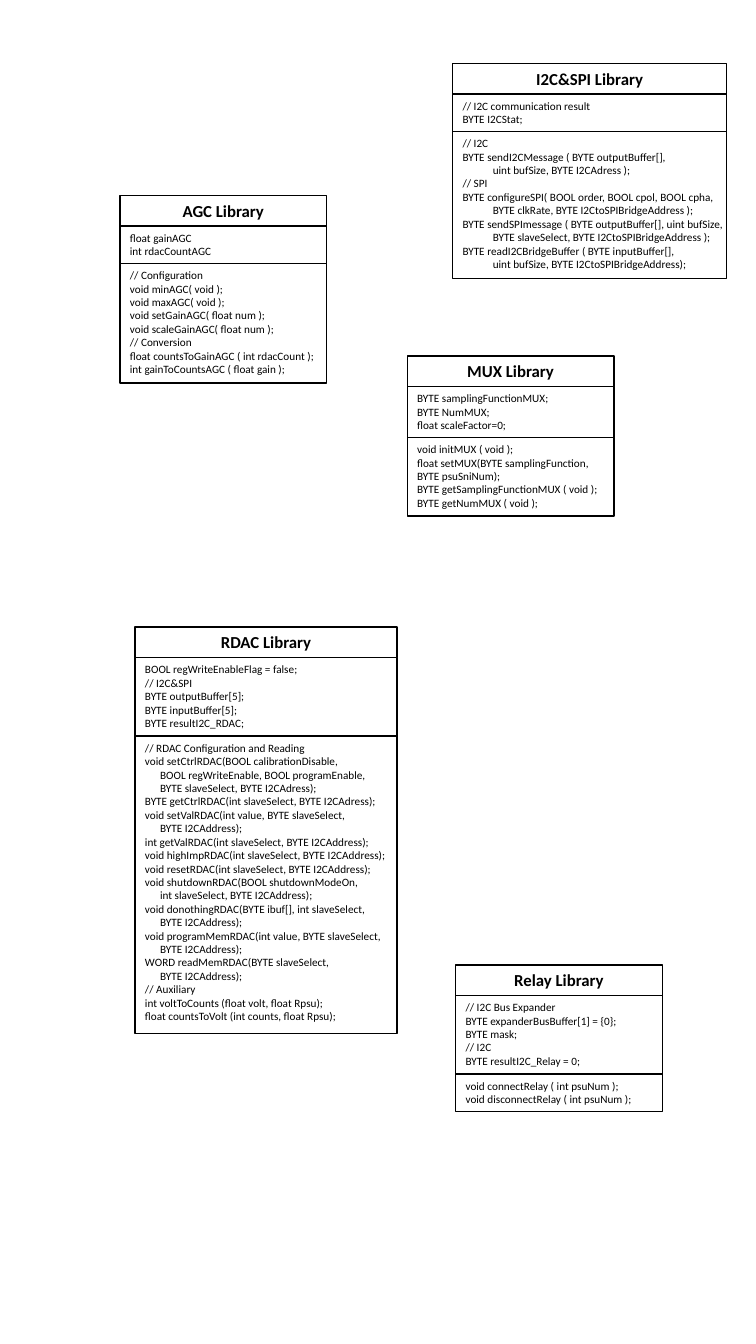
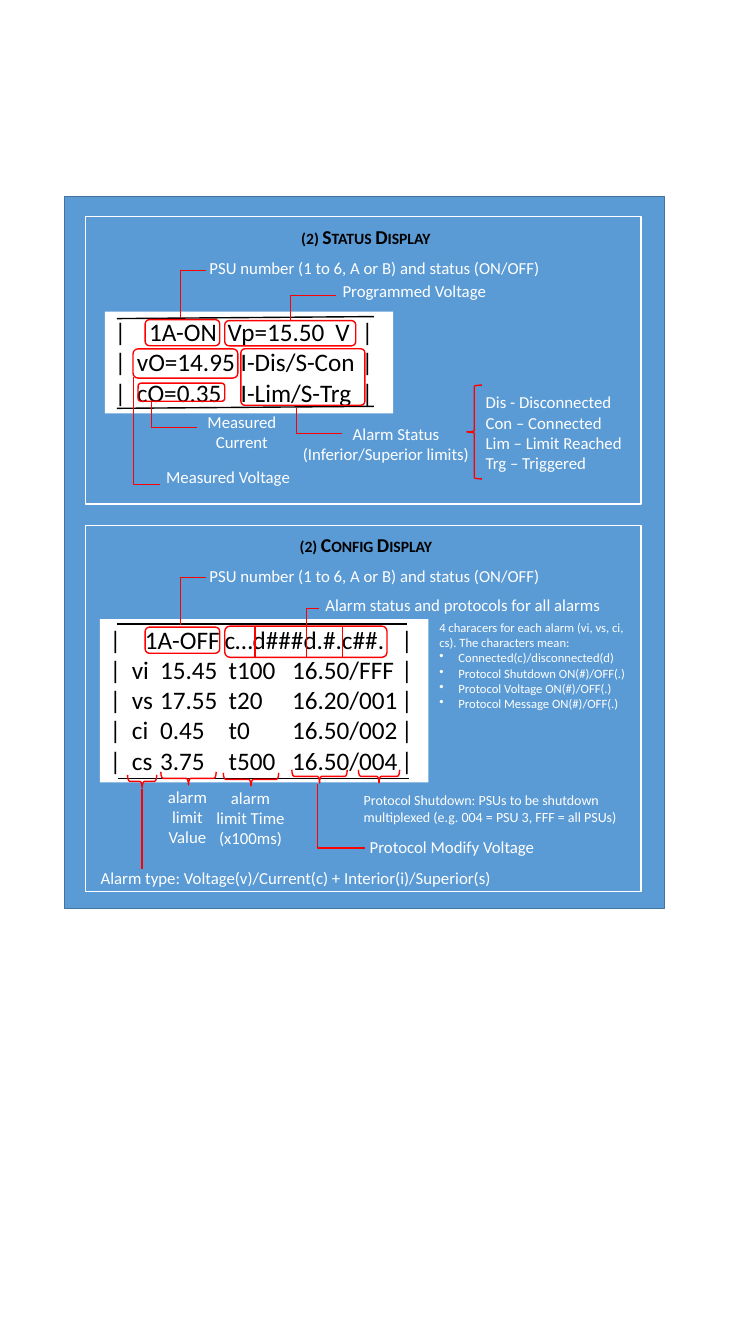
from dataclasses import dataclass

from lxml.etree import SubElement
from pptx import Presentation
from pptx.dml.color import RGBColor
from pptx.enum.shapes import MSO_CONNECTOR, MSO_SHAPE
from pptx.enum.text import MSO_ANCHOR, PP_ALIGN
from pptx.oxml.ns import qn
from pptx.util import Inches, Pt

FONT = "Calibri"
BLACK, WHITE, RED = "000000", "FFFFFF", "FF0000"
BLUE, DARK_BLUE = "5B9BD5", "43739E"
LEFT, CENTER = PP_ALIGN.LEFT, PP_ALIGN.CENTER


@dataclass
class Library:
    """A class box; a leading tab marks a continuation line."""
    left: float
    top: float
    width: float
    name: str
    attributes: list[str]
    methods: list[str]
    indent: float = 0.15
    right_inset: float = 0.1


@dataclass
class Label:
    left: float
    top: float
    width: float
    height: float
    lines: list[str]
    size: float = 12
    align: PP_ALIGN = LEFT


@dataclass
class Display:
    """A framed panel with a character display; tabs separate the columns."""
    title: str
    frame_top: float
    frame_height: float
    left: float
    top: float
    width: float
    height: float
    rows: list[tuple[str, list[float]]]
    rules: list[tuple[float, float, float, float]]


LIBRARIES = [
    Library(1.19, 1.94, 2.05, "AGC Library",
            ["float gainAGC", "int rdacCountAGC"],
            ["// Configuration", "void minAGC( void );", "void maxAGC( void );",
             "void setGainAGC( float num );", "void scaleGainAGC( float num );",
             "// Conversion", "float countsToGainAGC ( int rdacCount );",
             "int gainToCountsAGC ( float gain );"]),
    Library(4.49, 0.63, 2.72, "I2C&SPI Library",
            ["// I2C communication result", "BYTE I2CStat;"],
            ["// I2C", "BYTE sendI2CMessage ( BYTE outputBuffer[],",
             "\tuint bufSize, BYTE I2CAdress );", "// SPI",
             "BYTE configureSPI( BOOL order, BOOL cpol, BOOL cpha,",
             "\tBYTE clkRate, BYTE I2CtoSPIBridgeAddress );",
             "BYTE sendSPImessage ( BYTE outputBuffer[], uint bufSize,",
             "\tBYTE slaveSelect, BYTE I2CtoSPIBridgeAddress );",
             "BYTE readI2CBridgeBuffer ( BYTE inputBuffer[],",
             "\tuint bufSize, BYTE I2CtoSPIBridgeAddress);"],
            indent=0.3, right_inset=0),
    Library(4.04, 3.53, 2.05, "MUX Library",
            ["BYTE samplingFunctionMUX;", "BYTE NumMUX;", "float scaleFactor=0;"],
            ["void initMUX ( void );",
             "float setMUX(BYTE samplingFunction, \vBYTE psuSniNum);",
             "BYTE getSamplingFunctionMUX ( void );", "BYTE getNumMUX ( void );"]),
    Library(1.34, 6.22, 2.6, "RDAC Library",
            ["BOOL regWriteEnableFlag = false;", "// I2C&SPI", "BYTE outputBuffer[5];",
             "BYTE inputBuffer[5];", "BYTE resultI2C_RDAC;"],
            ["// RDAC Configuration and Reading",
             "void setCtrlRDAC(BOOL calibrationDisable,",
             "\tBOOL regWriteEnable, BOOL programEnable,",
             "\tBYTE slaveSelect, BYTE I2CAdress);",
             "BYTE getCtrlRDAC(int slaveSelect, BYTE I2CAdress);",
             "void setValRDAC(int value, BYTE slaveSelect,", "\tBYTE I2CAddress);",
             "int getValRDAC(int slaveSelect, BYTE I2CAddress);",
             "void highImpRDAC(int slaveSelect, BYTE I2CAddress);",
             "void resetRDAC(int slaveSelect, BYTE I2CAddress);",
             "void shutdownRDAC(BOOL shutdownModeOn,",
             "\tint slaveSelect, BYTE I2CAddress);",
             "void donothingRDAC(BYTE ibuf[], int slaveSelect,", "\tBYTE I2CAddress);",
             "void programMemRDAC(int value, BYTE slaveSelect,", "\tBYTE I2CAddress);",
             "WORD readMemRDAC(BYTE slaveSelect,", "\tBYTE I2CAddress);",
             "// Auxiliary", "int voltToCounts (float volt, float Rpsu);",
             "float countsToVolt (int counts, float Rpsu);"], right_inset=0.05),
    Library(4.52, 9.57, 2.05, "Relay Library",
            ["// I2C Bus Expander", "BYTE expanderBusBuffer[1] = {0};", "BYTE mask;",
             "// I2C", "BYTE resultI2C_Relay = 0;"],
            ["void connectRelay ( int psuNum );", "void disconnectRelay ( int psuNum );"]),
]

STATUS_STOPS = [0.22, 1.25, 2.45]
CONFIG_STOPS = [0.22, 0.5, 1.18, 1.81, 2.89]
DISPLAYS = [
    Display("(2) Status Display", 2.15, 2.85, 1.04, 3.09, 2.86, 1.01,
            [("|\t1A-ON\tVp=15.50\tV\t|", [0.34, 1.12, 2.19, 2.45]),
             ("|\tvO=14.95\tI-Dis/S-Con\t|", STATUS_STOPS),
             ("|\tcO=0.35\tI-Lim/S-Trg\t|", STATUS_STOPS)],
            [(1.16, 3.16, 3.71, 3.14), (1.16, 4.05, 3.71, 4.03)]),
    Display("(2) Config Display", 5.21, 3.63, 0.99, 6.14, 3.26, 1.62,
            [("|\t1A-OFF\tc…d###d.#.c##.\t|", [0.35, 1.14, 2.89]),
             ("|\tvi\t15.45\tt100\t16.50/FFF\t|", CONFIG_STOPS),
             ("|\tvs\t17.55\tt20\t16.20/001\t|", CONFIG_STOPS),
             ("|\tci\t0.45\tt0\t16.50/002\t|", CONFIG_STOPS),
             ("|\tcs\t3.75\tt500\t16.50/004\t|", CONFIG_STOPS)],
            [(1.16, 6.19, 4.04, 6.19), (1.17, 7.72, 4.06, 7.72)]),
]

# Rounded outlines: left, top, width, height, corner
HIGHLIGHTS = [
    (2.23, 3.18, 1.3, 0.25, 0.17), (1.32, 3.46, 1.04, 0.29, 0.17),
    (1.37, 3.8, 0.86, 0.18, 0.17), (2.39, 3.46, 1.23, 0.56, 0.07),
    (2.23, 6.21, 1.61, 0.31, 0.17),
]
# Elbow leaders: label x, label y, target x, target y, width
LEADERS = [
    (3.33, 2.93, 2.88, 3.18, 0.5), (1.59, 4.8, 1.32, 3.74, 0.5),
    (3.39, 4.3, 2.94, 4.05, 0.5), (1.95, 4.24, 1.5, 3.98, 0.5),
    (3.16, 6.03, 3.04, 6.21, 0.5), (3.62, 8.41, 3.15, 7.78, 1),
]
# Braces under the config columns: centre x, centre y, span
COLUMN_BRACES = [(1.41, 7.75, 0.29), (1.87, 7.72, 0.55), (2.49, 7.73, 0.55),
                 (3.17, 7.7, 0.55), (3.76, 7.7, 0.41)]
ALARM_STATUS = Label(2.8, 4.15, 2.26, 0.5,
                     ["Alarm Status", "(Inferior/Superior limits)"], align=CENTER)
CHARACTER_KEY = Label(4.26, 6.1, 2.1, 1.01, [
    "4 characers for each alarm (vi, vs, ci, cs). The characters mean:",
    "Connected(c)/disconnected(d)", "Protocol Shutdown ON(#)/OFF(.)",
    "Protocol Voltage ON(#)/OFF(.)", "Protocol Message ON(#)/OFF(.)"], 9)
LABELS = [
    Label(3.3, 2.74, 2.17, 0.3, ["Programmed Voltage"]),
    Label(1.55, 4.58, 2.17, 0.3, ["Measured Voltage"]),
    Label(1.81, 4.03, 1.18, 0.5, ["Measured Current"], align=CENTER),
    Label(4.72, 3.84, 1.73, 0.91, ["Dis - Disconnected", "Con – Connected",
                                   "Lim – Limit Reached", "Trg – Triggered"]),
    Label(0.9, 8.56, 4.25, 0.3,
          ["Alarm type: Voltage(v)/Current(c) + Interior(i)/Superior(s)"]),
    Label(1.53, 7.75, 0.66, 0.71, ["alarm limit Value"], align=CENTER),
    Label(2.04, 7.76, 0.89, 0.71, ["alarm limit Time", "(x100ms)"], align=CENTER),
    Label(3.57, 8.25, 2.04, 0.3, ["Protocol Modify Voltage"]),
    Label(3.13, 5.85, 3.04, 0.3, ["Alarm status and protocols for all alarms"]),
    Label(3.51, 7.8, 2.84, 0.44, ["Protocol Shutdown: PSUs to be shutdown "
                                  "multiplexed (e.g. 004 = PSU 3, FFF = all PSUs)"], 10),
]


def rgb(color: str) -> RGBColor:
    return RGBColor.from_string(color)


def write(frame, lines: list[str], size: float, color: str = BLACK,
          align: PP_ALIGN = LEFT, bold: bool = False) -> None:
    frame.word_wrap = True
    frame.vertical_anchor = MSO_ANCHOR.TOP
    for index, line in enumerate(lines):
        paragraph = frame.add_paragraph() if index else frame.paragraphs[0]
        paragraph.text = line
        paragraph.alignment = align
        font = paragraph.font
        font.name, font.size, font.bold = FONT, Pt(size), bold
        font.color.rgb = rgb(color)


def add_box(shapes, left: float, top: float, width: float, height: float,
            line: str | None = None, fill: str | None = None,
            preset: MSO_SHAPE = MSO_SHAPE.RECTANGLE):
    shape = shapes.add_shape(preset, Inches(left), Inches(top), Inches(width), Inches(height))
    shape.shadow.inherit = False
    if fill:
        shape.fill.solid()
        shape.fill.fore_color.rgb = rgb(fill)
    else:
        shape.fill.background()
    if line:
        shape.line.color.rgb = rgb(line)
        shape.line.width = Pt(1)
    else:
        shape.line.fill.background()
    return shape


def add_line(shapes, x1: float, y1: float, x2: float, y2: float,
             color: str = RED, width: float = 1, elbow: bool = False) -> None:
    """An elbow runs level from its start, then straight to its end."""
    connector = shapes.add_connector(MSO_CONNECTOR.ELBOW if elbow else MSO_CONNECTOR.STRAIGHT,
                                     Inches(x1), Inches(y1), Inches(x2), Inches(y2))
    connector.line.color.rgb = rgb(color)
    connector.line.width = Pt(width)
    properties = connector._element.spPr
    if elbow:
        properties.find(qn("a:prstGeom")).set("prst", "bentConnector2")
    SubElement(properties, qn("a:effectLst"))


def add_label(shapes, label: Label, color: str = WHITE, bold: bool = False):
    box = shapes.add_textbox(Inches(label.left), Inches(label.top),
                             Inches(label.width), Inches(label.height))
    write(box.text_frame, label.lines, label.size, color, label.align, bold)
    return box.text_frame


def set_indent(paragraph, left: float, first: float = 0):
    properties = paragraph._p.get_or_add_pPr()
    properties.set("marL", str(Inches(left)))
    properties.set("indent", str(Inches(first)))
    return properties


def add_bullet(paragraph) -> None:
    bullet = SubElement(set_indent(paragraph, 0.19, -0.19), qn("a:buChar"))
    bullet.set("char", "•")
    bullet.getparent().insert(0, bullet)


def set_tabs(paragraph, stops: list[float]) -> None:
    properties = paragraph._p.get_or_add_pPr()
    tabs = SubElement(properties, qn("a:tabLst"))
    for stop in stops:
        tab = SubElement(tabs, qn("a:tab"))
        tab.set("pos", str(Inches(stop)))
        tab.set("algn", "l")
    properties.insert(0, tabs)


def add_library(slide, library: Library) -> None:
    group = slide.shapes.add_group_shape()
    top = library.top
    for lines, size in (([library.name], 12), (library.attributes, 8), (library.methods, 8)):
        heading = size == 12
        # Calibri's line pitch is 1.22 of its size; insets add 0.1 inch
        count = len(lines) + sum(line.count("\v") for line in lines)
        height = 0.1 + count * size * 1.22 / 72
        box = add_box(group.shapes, library.left, top, library.width, height, BLACK)
        frame = box.text_frame
        write(frame, [line.lstrip("\t") for line in lines], size,
              align=CENTER if heading else LEFT, bold=heading)
        frame.margin_right = Inches(0.1 if heading else library.right_inset)
        for line, paragraph in zip(lines, frame.paragraphs):
            if line.startswith("\t"):
                set_indent(paragraph, library.indent)
        top += height


def add_display(slide, display: Display) -> None:
    shapes, top = slide.shapes, display.top
    add_box(shapes, 0.85, display.frame_top, 5.51, display.frame_height, WHITE)
    title = add_label(shapes, Label(2.48, display.frame_top + 0.03, 2.3, 0.34,
                                    [display.title], 14, CENTER), BLACK, True)
    title.paragraphs[0].font._element.set("cap", "small")
    screen = add_box(shapes, display.left, top, display.width, display.height, fill=WHITE)
    write(screen.text_frame, [text for text, _ in display.rows], 18)
    for paragraph, (_, stops) in zip(screen.text_frame.paragraphs, display.rows):
        set_tabs(paragraph, stops)
    for rule in display.rules:
        add_line(shapes, *rule, BLACK)
    # PSU number callout
    add_box(shapes, 1.44, top + 0.08, 0.74, 0.26, RED, preset=MSO_SHAPE.ROUNDED_RECTANGLE)
    add_line(shapes, 2.04, top - 0.41, 1.79, top + 0.06, width=0.5, elbow=True)
    add_label(shapes, Label(1.98, top - 0.58, 3.69, 0.3,
                            ["PSU number (1 to 6, A or B) and status (ON/OFF)"]))


def build_displays(slide) -> None:
    shapes = slide.shapes
    add_box(shapes, 0.64, 1.95, 5.95, 7.06, DARK_BLUE, BLUE)
    for display in DISPLAYS:
        add_display(slide, display)
    # Highlights, leaders and braces
    for *place, corner in HIGHLIGHTS:
        outline = add_box(shapes, *place, RED, preset=MSO_SHAPE.ROUNDED_RECTANGLE)
        outline.adjustments[0] = corner
    for *ends, width in LEADERS:
        add_line(shapes, *ends, width=width, elbow=True)
    for x in (2.53, 3.04, 3.4):
        add_line(shapes, x, 6.52, x, 6.21)
    add_line(shapes, 1.41, 7.83, 1.41, 8.62)
    add_box(shapes, 4.63, 3.82, 0.15, 0.93, RED, preset=MSO_SHAPE.LEFT_BRACE)
    for x, y, span in COLUMN_BRACES:
        brace = add_box(shapes, x - 0.065, y - span / 2, 0.13, span, RED,
                        preset=MSO_SHAPE.RIGHT_BRACE)
        brace.rotation = 90
        brace.adjustments[0] = 0.17
    # Explanations
    for label in LABELS:
        add_label(shapes, label)
    alarm_status = add_label(shapes, ALARM_STATUS)
    alarm_status.paragraphs[1]._p.get_or_add_pPr().set("marR", str(Inches(0.2)))
    for paragraph in add_label(shapes, CHARACTER_KEY).paragraphs[1:]:
        add_bullet(paragraph)


def main() -> None:
    presentation = Presentation()
    presentation.slide_width, presentation.slide_height = Inches(7.5), Inches(13.33)
    blank = presentation.slide_layouts[6]
    library_slide = presentation.slides.add_slide(blank)
    for library in LIBRARIES:
        add_library(library_slide, library)
    build_displays(presentation.slides.add_slide(blank))
    presentation.save("out.pptx")


if __name__ == "__main__":
    main()
